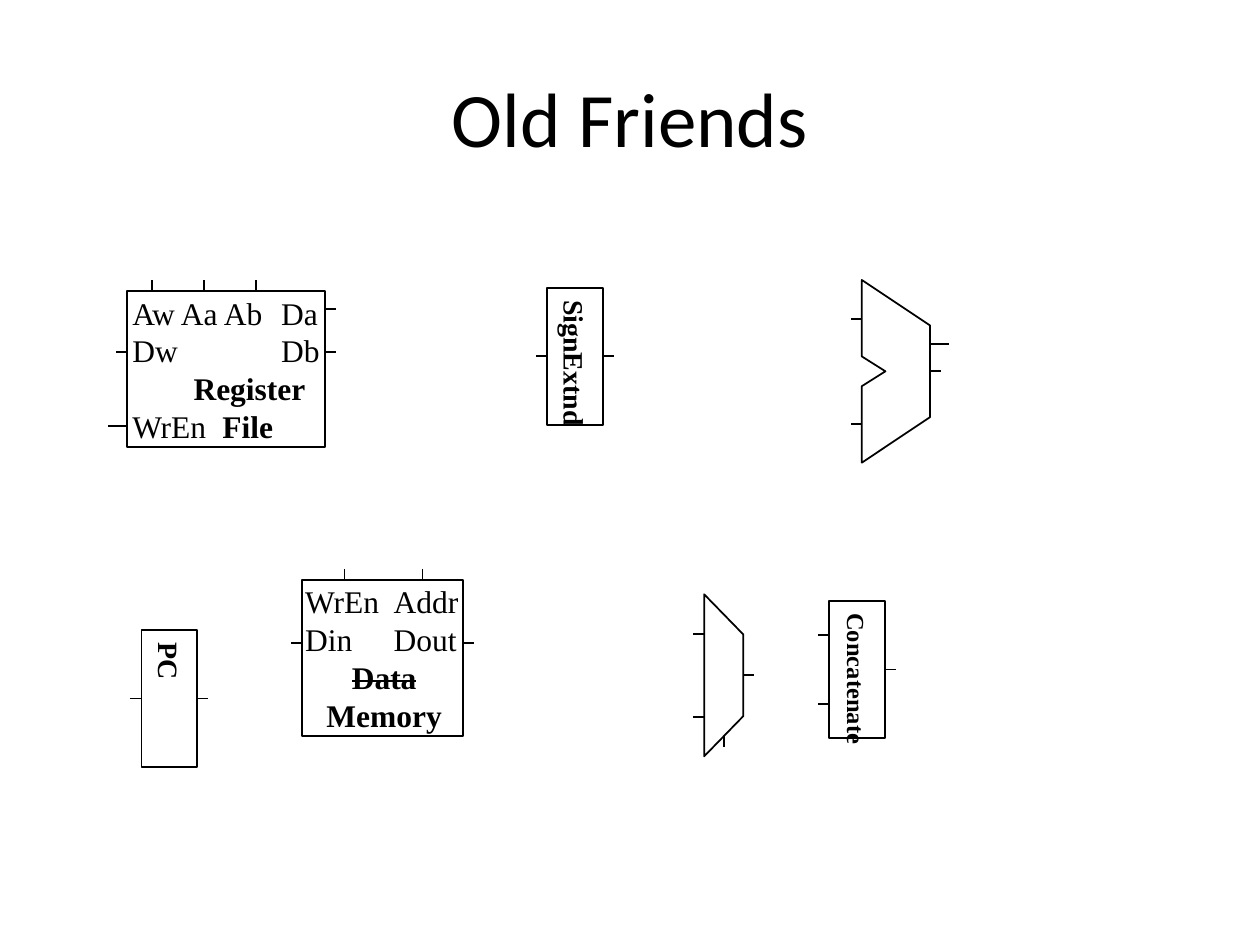
from dataclasses import dataclass
from lxml import etree
from pptx import Presentation
from pptx import util as u
from pptx.dml.color import RGBColor
from pptx.enum import shapes, text
from pptx.oxml.ns import qn

Pt = u.Pt
TOP, LEFT, BASE, RIGHT = range(4)
MID = text.PP_ALIGN.CENTER


@dataclass(frozen=True)
class Theme:
    ink: RGBColor = RGBColor(0, 0, 0)
    paper: RGBColor = RGBColor(255, 255, 255)
    head: str = "Calibri"
    body: str = "Times New Roman"
    title: float = 44
    label: float = 18
    side: float = 16
    small: float = 14
    lead: float = 21.6
    line: float = 1
    stub: float = 6.3
    long: float = 10.8


T = Theme()


def write(para, words, font=T.body, size=T.label, bold=False, strike=False,
          align=None, tab=None, lead=None):
    """Add one run to a paragraph and format both."""
    if align is not None:
        para.alignment = align
    if lead:
        para.line_spacing = Pt(lead)
    if tab:
        tabs = etree.SubElement(para._p.get_or_add_pPr(), qn("a:tabLst"))
        etree.SubElement(tabs, qn("a:tab"), pos=str(int(Pt(tab))), algn="l")
    run = para.add_run()
    run.text = words
    run.font.name, run.font.size, run.font.bold = font, Pt(size), bold
    run.font.color.rgb = T.ink
    if strike:
        run.font._element.set("strike", "sngStrike")


def paint(shape):
    shape.shadow.inherit = False
    shape.fill.solid()
    shape.fill.fore_color.rgb = T.paper
    shape.line.color.rgb = T.ink
    shape.line.width = Pt(T.line)
    return shape


def rect(group, box):
    return paint(group.shapes.add_shape(
        shapes.MSO_SHAPE.RECTANGLE, *map(Pt, box)))


def outline(group, box, points):
    """Closed shape from points relative to the box."""
    x, y = box[:2]
    spots = [(Pt(x + dx), Pt(y + dy)) for dx, dy in points]
    form = group.shapes.build_freeform(*spots[0])
    form.add_line_segments(spots[1:], close=True)
    return paint(form.convert_to_shape())


def port(group, box, side, at=None, size=T.stub, inset=0, owner=None):
    """Short wire outward from a side; with an owner it joins the middle."""
    x, y, w, h = box
    if at is None:
        at = (w if side in (TOP, BASE) else h) / 2
    sign = -1 if side in (TOP, LEFT) else 1
    if side in (TOP, BASE):
        edge = (y if side == TOP else y + h) - sign * inset
        ends = (x + at, edge, x + at, edge + sign * size)
    else:
        edge = (x if side == LEFT else x + w) - sign * inset
        ends = (edge, y + at, edge + sign * size, y + at)
    wire = group.shapes.add_connector(
        shapes.MSO_CONNECTOR.STRAIGHT, *map(Pt, ends))
    wire.line.color.rgb = T.ink
    wire.line.width = Pt(T.line)
    etree.SubElement(wire._element.spPr, qn("a:effectLst"))
    if owner is not None:
        wire.begin_connect(owner, side)


def title(slide, box, words):
    head = slide.shapes.title
    head.left, head.top, head.width, head.height = map(Pt, box)
    head.text_frame.vertical_anchor = text.MSO_ANCHOR.MIDDLE
    write(head.text_frame.paragraphs[0], words, font=T.head, size=T.title,
          align=MID)


def panel(group, box, rows, pad):
    """Rectangle with rows of pin names; a row is (runs, format)."""
    frame = rect(group, box).text_frame
    frame.word_wrap = True
    frame.vertical_anchor = text.MSO_ANCHOR.MIDDLE
    frame.margin_left = Pt(pad)
    frame.margin_right = frame.margin_top = frame.margin_bottom = 0
    for i, (runs, form) in enumerate(rows):
        para = frame.add_paragraph() if i else frame.paragraphs[0]
        para.alignment = form.get("align", text.PP_ALIGN.LEFT)
        para.line_spacing = Pt(T.lead)
        for j, (words, style) in enumerate(runs):
            write(para, words, **style, **({} if j else form))


def regs(slide, box):
    """Register file."""
    group = slide.shapes.add_group_shape()
    bold = {"bold": True}
    panel(group, box, [
        ([("Aw Aa Ab\tDa", {})], {"tab": 85}),
        ([("Dw\tDb", {})], {"tab": 85}),
        ([("\tRegister", bold)], {"tab": 35}),
        ([("WrEn\t", {}), ("File", bold)], {"tab": 51.5}),
    ], 3)
    for at in (14.4, 44, 73.6):
        port(group, box, TOP, at)
    for side, at in ((LEFT, 34.6), (RIGHT, 34.6), (RIGHT, 10)):
        port(group, box, side, at)
    port(group, box, LEFT, 77, T.long)


def memory(slide, box):
    """Data memory."""
    group = slide.shapes.add_group_shape()
    panel(group, box, [
        ([("WrEn\tAddr", {})], {"tab": 50.5}),
        ([("Din\tDout", {})], {"tab": 50.5}),
        ([("Data", {"bold": True, "strike": True})], {"align": MID}),
        ([("Memory", {"bold": True})], {"align": MID}),
    ], 2)
    for side, at in ((LEFT, 36), (RIGHT, 36), (TOP, 24.5), (TOP, 69)):
        port(group, box, side, at)


def upright(slide, box, words, size=T.side, pins=(None,)):
    """Narrow block with a vertical name, inputs left and one output."""
    group = slide.shapes.add_group_shape()
    block = rect(group, box)
    frame = block.text_frame
    frame.word_wrap = False
    frame.vertical_anchor = text.MSO_ANCHOR.MIDDLE
    frame._txBody.bodyPr.set("vert", "eaVert")
    write(frame.paragraphs[0], words, size=size, bold=True, align=MID)
    for at in pins:
        port(group, box, LEFT, at, owner=block if at is None else None)
    port(group, box, RIGHT, owner=block)


def adder(slide, box):
    """Arithmetic unit with a notch between its inputs."""
    group = slide.shapes.add_group_shape()
    w, h = box[2:]
    mid = h / 2
    outline(group, box, [(0, 0), (w, 26), (w, h - 26), (0, h),
                         (0, mid + 8.5), (13.5, mid), (0, mid - 8.5)])
    for at in (22.2, h - 22.2):
        port(group, box, LEFT, at)
    port(group, box, RIGHT)
    port(group, box, RIGHT, 36.8, T.long)


def mux(slide, box):
    """Multiplexer with its select wire below."""
    group = slide.shapes.add_group_shape()
    w, h = box[2:]
    outline(group, box, [(0, 0), (w, 23), (w, h - 23), (0, h)])
    for at in (22.6, h - 22.6):
        port(group, box, LEFT, at)
    port(group, box, RIGHT)
    port(group, box, BASE, inset=11.6)


def main():
    deck = Presentation()
    deck.slide_width, deck.slide_height = Pt(720), Pt(540)
    slide = deck.slides.add_slide(deck.slide_layouts[5])
    title(slide, (36, 21.6, 648, 90), "Old Friends")
    # Upper row
    adder(slide, (492.5, 160, 39, 104.4))
    upright(slide, (312.5, 164.4, 32, 78.4), "SignExtnd")
    regs(slide, (72.6, 166.4, 113.2, 89.2))
    # Lower row
    mux(slide, (402.4, 339.6, 22.4, 92.6))
    memory(slide, (172.4, 331.4, 92.2, 89.2))
    upright(slide, (80.8, 360, 32, 78.4), "PC")
    upright(slide, (473.6, 343.4, 32, 78.4), "Concatenate", T.small,
            (19.6, 58.8))
    deck.save("out.pptx")


if __name__ == "__main__":
    main()
